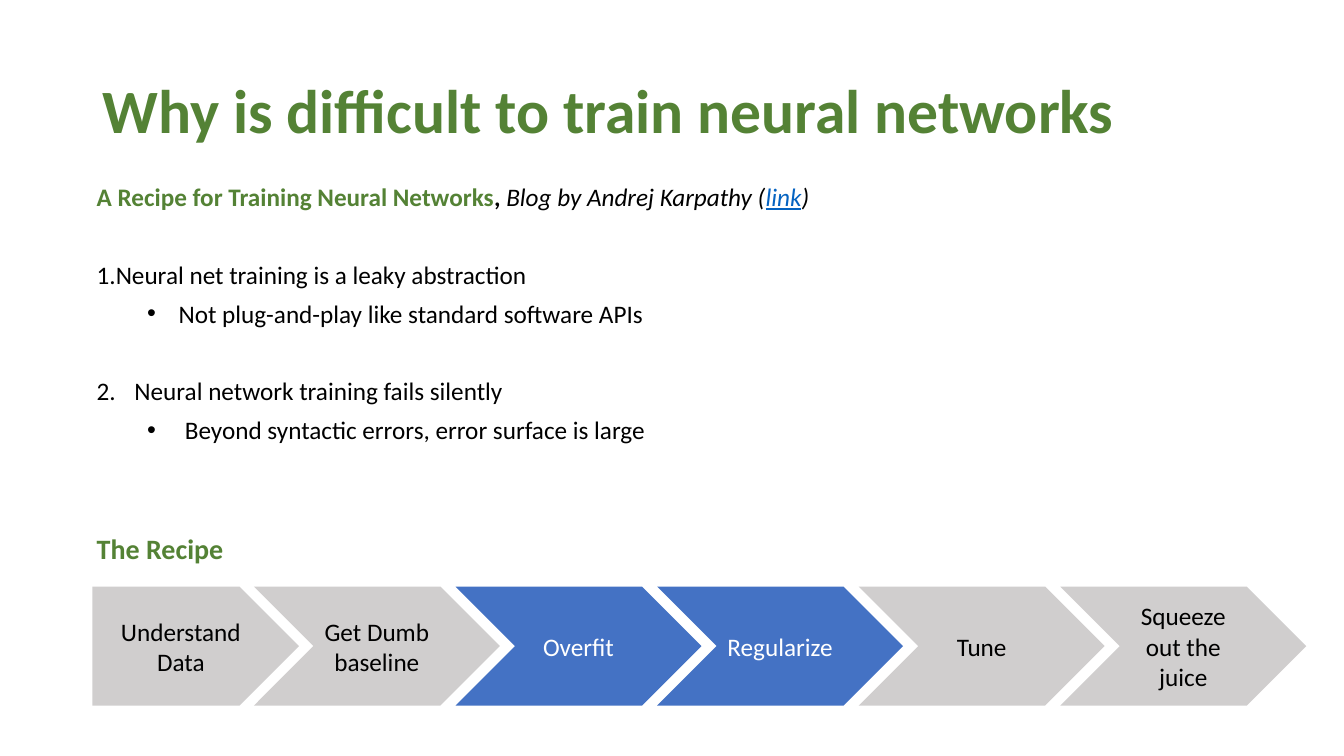
from lxml.etree import SubElement
from pptx import Presentation
from pptx.dml.color import RGBColor
from pptx.enum.shapes import MSO_SHAPE
from pptx.enum.text import MSO_ANCHOR, MSO_AUTO_SIZE, PP_ALIGN
from pptx.oxml.ns import qn
from pptx.util import Pt

GREEN = RGBColor(0x54, 0x82, 0x35)
BLACK = RGBColor(0x00, 0x00, 0x00)
WHITE = RGBColor(0xFF, 0xFF, 0xFF)
GREY = RGBColor(0xD0, 0xCE, 0xCE)
BLUE = RGBColor(0x44, 0x72, 0xC4)
LINK_BLUE = RGBColor(0x05, 0x63, 0xC1)

LINE_GAP = 28  # one 18 pt line with its spacing


class SlideBuilder:
    font_name = "Calibri"
    body_size = 18

    def __init__(self, slide):
        self.slide = slide

    def span(self, para, text, color=BLACK, size=body_size, bold=False, italic=False, underline=False):
        span = para.add_run()
        span.text = text
        font = span.font
        font.name, font.size = self.font_name, Pt(size)
        font.bold, font.italic, font.underline = bold, italic, underline
        font.color.rgb = color

    def title(self, text, left, top, width, height):
        box = self.slide.shapes.title
        box.left, box.top, box.width, box.height = Pt(left), Pt(top), Pt(width), Pt(height)
        frame = box.text_frame
        frame.word_wrap = True
        frame.auto_size = MSO_AUTO_SIZE.NONE
        frame.vertical_anchor = MSO_ANCHOR.MIDDLE
        para = frame.paragraphs[0]
        para.alignment = PP_ALIGN.LEFT
        para.line_spacing = 0.9
        self.span(para, text, GREEN, size=44, bold=True)

    def text_box(self, left, top, width, height):
        box = self.slide.shapes.add_textbox(Pt(left), Pt(top), Pt(width), Pt(height))
        frame = box.text_frame
        frame.word_wrap = True
        frame.auto_size = MSO_AUTO_SIZE.SHAPE_TO_FIT_TEXT
        return frame

    def paragraph(self, frame, first=False, gap=0):
        para = frame.paragraphs[0] if first else frame.add_paragraph()
        para.space_before = Pt(gap)
        para.space_after = Pt(6)
        return para

    def list_item(self, frame, text, margin, hanging, number=None, gap=0):
        para = self.paragraph(frame, gap=gap)
        para.level = 0 if number else 1
        properties = para._p.get_or_add_pPr()
        properties.set("marL", str(Pt(margin)))
        properties.set("indent", str(Pt(-hanging)))
        if number:
            SubElement(properties, qn("a:buAutoNum"), type="arabicPeriod", startAt=str(number))
        else:
            SubElement(properties, qn("a:buFont"), typeface="Arial")
            SubElement(properties, qn("a:buChar"), char="•")
        self.span(para, text)

    def step(self, kind, text, left, top, width, height, fill, color):
        shape = self.slide.shapes.add_shape(kind, Pt(left), Pt(top), Pt(width), Pt(height))
        shape.shadow.inherit = False
        shape.fill.solid()
        shape.fill.fore_color.rgb = fill
        shape.line.fill.background()
        frame = shape.text_frame
        frame.word_wrap = True
        frame.vertical_anchor = MSO_ANCHOR.MIDDLE
        para = frame.paragraphs[0]
        para.alignment = PP_ALIGN.CENTER
        self.span(para, text, color)


def main():
    deck = Presentation()
    deck.slide_width, deck.slide_height = Pt(960), Pt(540)
    page = SlideBuilder(deck.slides.add_slide(deck.slide_layouts[5]))

    # Title
    page.title("Why is difficult to train neural networks", 66, 28.8, 828, 104.4)

    # Source line
    body = page.text_box(62, 126, 859, 282)
    source = page.paragraph(body, first=True)
    page.span(source, "A Recipe for Training Neural Networks", GREEN, bold=True)
    page.span(source, ", ", bold=True)
    page.span(source, "Blog by Andrej Karpathy (", italic=True)
    page.span(source, "link", LINK_BLUE, italic=True, underline=True)
    page.span(source, ")", italic=True)

    # Numbered reasons
    page.list_item(body, "Neural net training is a leaky abstraction", 0, 0, number=1, gap=LINE_GAP)
    page.list_item(body, "Not plug-and-play like standard software APIs", 58.5, 22.5)
    page.list_item(body, "Neural network training fails silently", 27, 27, number=2, gap=LINE_GAP)
    page.list_item(body, "Beyond syntactic errors, error surface is large", 63, 27)

    # Recipe heading
    heading = page.paragraph(body, gap=2 * LINE_GAP)
    page.span(heading, "The Recipe", GREEN, size=20, bold=True)

    # Recipe steps
    top, height, pitch = 419, 85, 144
    page.step(MSO_SHAPE.PENTAGON, "Understand Data", 66, top, 147.6, height, GREY, BLACK)
    chevrons = [
        ("Get Dumb baseline", GREY, BLACK),
        ("Overfit", BLUE, WHITE),
        ("Regularize", BLUE, WHITE),
        ("Tune", GREY, BLACK),
        ("Squeeze out the juice", GREY, BLACK),
    ]
    for index, (text, fill, color) in enumerate(chevrons):
        page.step(MSO_SHAPE.CHEVRON, text, 181.4 + index * pitch, top, 175.7, height, fill, color)

    deck.save("out.pptx")


if __name__ == "__main__":
    main()
